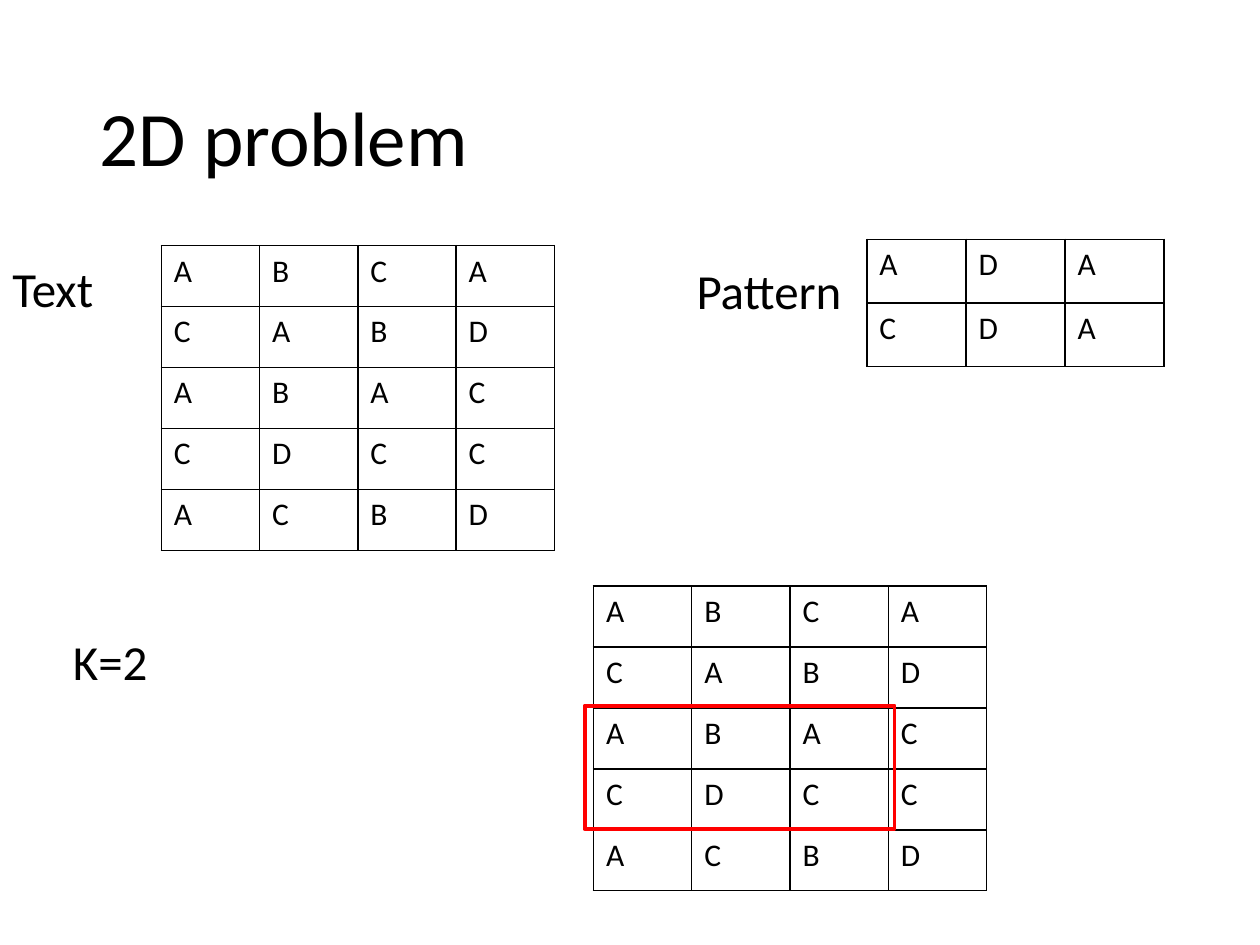
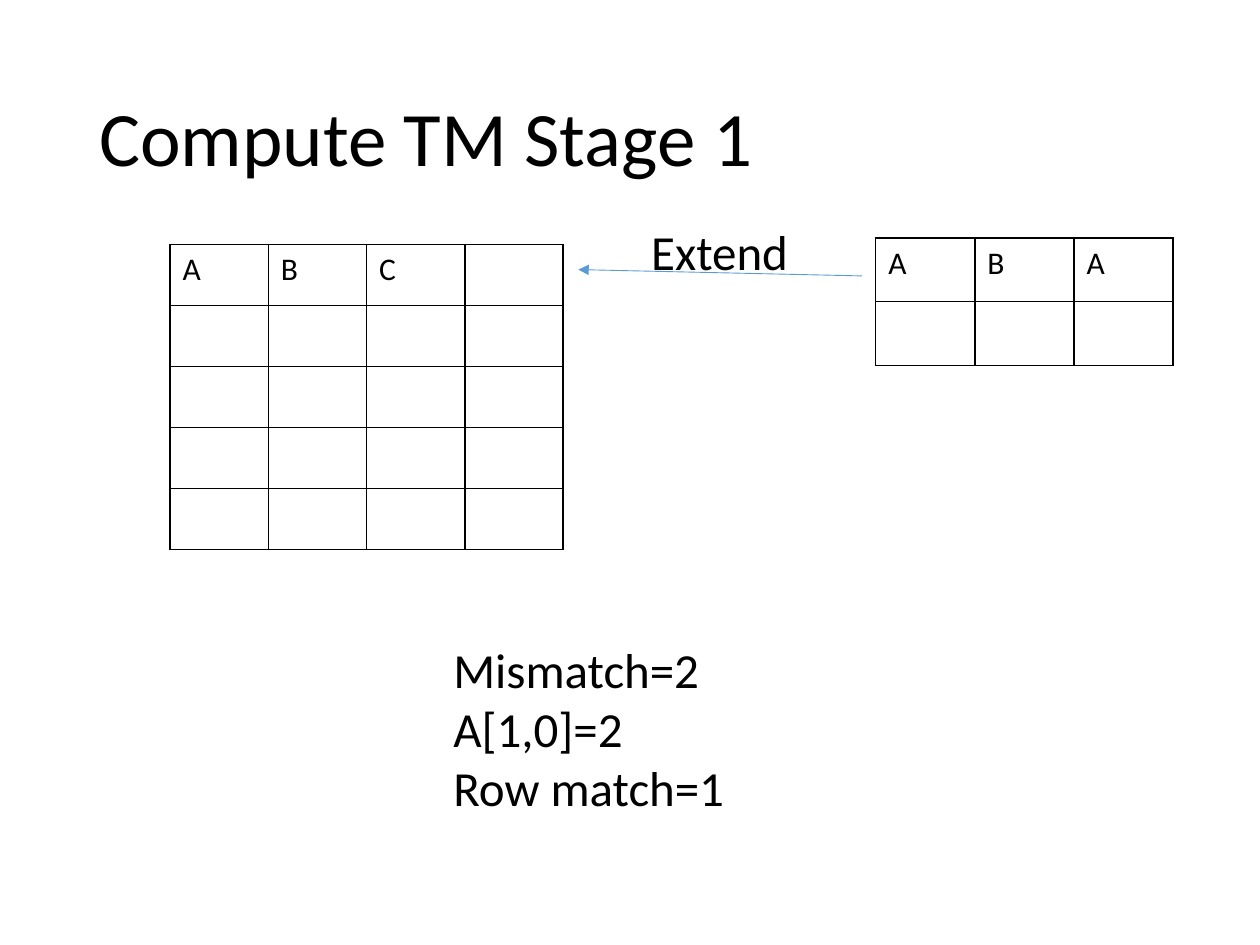
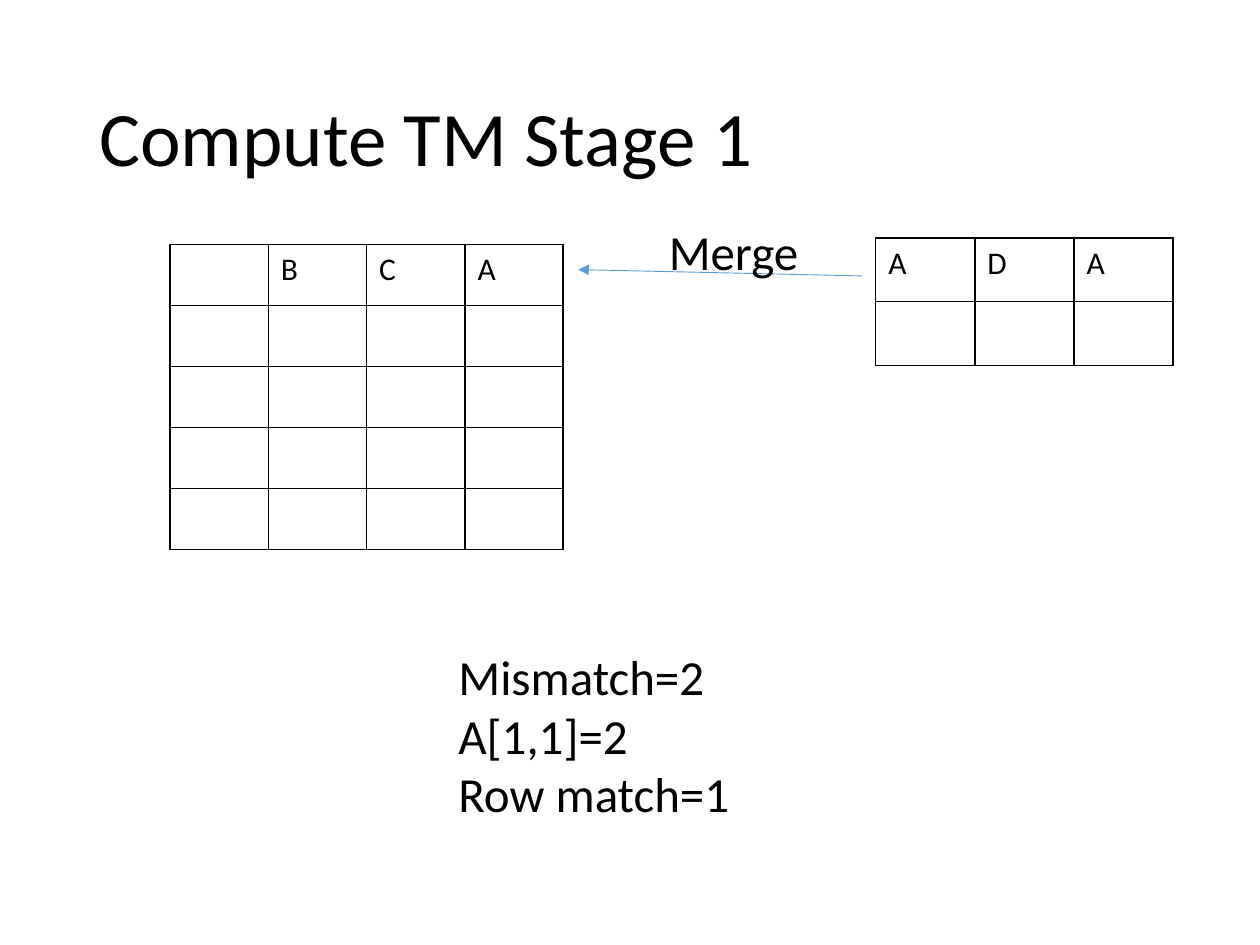
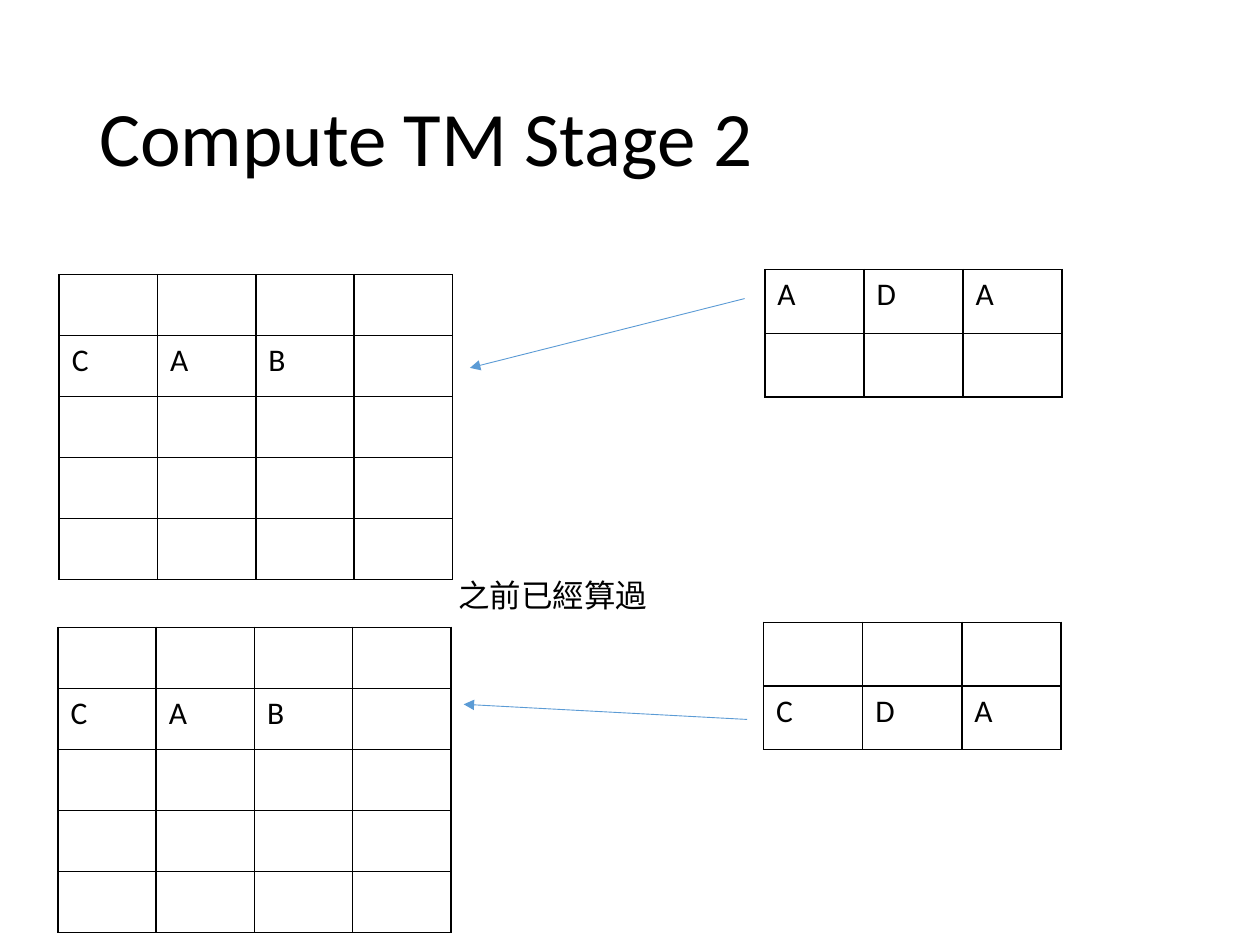
"""Build four slides on matching a 2D pattern inside a 2D text."""
import pptx
import pptx.dml.color
import pptx.enum.shapes
import pptx.enum.text
import pptx.oxml
import pptx.util
from lxml import etree
from pptx.util import Inches

BLACK = pptx.dml.color.RGBColor(0x00, 0x00, 0x00)
RED = pptx.dml.color.RGBColor(0xFF, 0x00, 0x00)
BLUE = pptx.dml.color.RGBColor(0x5B, 0x9B, 0xD5)
MIDDLE = pptx.enum.text.MSO_ANCHOR.MIDDLE
GROW = pptx.enum.text.MSO_AUTO_SIZE.SHAPE_TO_FIT_TEXT
FIXED = pptx.enum.text.MSO_AUTO_SIZE.NONE
TOP = pptx.enum.text.MSO_ANCHOR.TOP

DRAWING = "http://schemas.openxmlformats.org/drawingml/2006/main"
BORDER = (
    f'<a:{{side}} xmlns:a="{DRAWING}" w="12700"><a:solidFill>'
    f'<a:srgbClr val="{BLACK}"/></a:solidFill></a:{{side}}>'
)
ARROWHEAD = f'<a:tailEnd xmlns:a="{DRAWING}" type="triangle"/>'

TITLE_FRAME = {"word_wrap": True, "vertical_anchor": MIDDLE, "auto_size": FIXED}
WRAPPED_FRAME = {"word_wrap": True, "vertical_anchor": TOP, "auto_size": GROW}
LABEL_FRAME = {**WRAPPED_FRAME, "word_wrap": False}

TEXT_ROWS = ["ABCA", "CABD", "ABAC", "CDCC", "ACBD"]
EMPTY_TEXT = ["----"] * 5
EMPTY_PATTERN = ["---"] * 2
TEXT_SECOND_ROW = ["----", "CAB-", *EMPTY_TEXT[2:]]
GRID_SIZES = {4: (3.12, 2.42), 3: (2.36, 1.01)}

LESSONS = [
    {
        "title": "2D problem",
        "grids": [
            (1.28, 1.95, TEXT_ROWS),
            (6.88, 1.9, ["ADA", "CDA"]),
            (4.71, 4.65, TEXT_ROWS),
        ],
        "arrows": [],
        "labels": [
            ("K=2", (0.48, 4.96, 0.98, 0.57), 28, WRAPPED_FRAME),
            ("Text", (0, 2, 0.85, 0.57), 28, LABEL_FRAME),
            ("Pattern", (5.43, 2.02, 1.37, 0.57), 28, LABEL_FRAME),
        ],
        "matches": [(4.64, 5.6, 2.46, 0.98)],
    }
]
for step, step_box, text_row, pattern_row, result, result_box in [
    ("Extend", (5.07, 1.71, 1.3, 0.57), "ABC-", "ABA", "A[1,0]=2", (3.5, 5.03, 2.39, 1.51)),
    ("Merge", (5.21, 1.71, 1.24, 0.57), "-BCA", "ADA", "A[1,1]=2", (3.54, 5.08, 2.38, 1.51)),
]:
    LESSONS.append({
        "title": "Compute TM Stage 1",
        "grids": [
            (1.35, 1.94, [text_row, *EMPTY_TEXT[1:]]),
            (6.95, 1.89, [pattern_row, *EMPTY_PATTERN[1:]]),
        ],
        "arrows": [(6.84, 2.19, 4.59, 2.14)],
        "labels": [
            (step, step_box, 28, LABEL_FRAME),
            (f"Mismatch=2\n{result}\nRow match=1", result_box, 28, LABEL_FRAME),
        ],
        "matches": [],
    })
LESSONS.append({
    "title": "Compute TM Stage 2",
    "grids": [
        (0.47, 2.18, TEXT_SECOND_ROW),
        (6.07, 2.14, ["ADA", "---"]),
        (0.46, 4.98, TEXT_SECOND_ROW),
        (6.06, 4.94, ["---", "CDA"]),
    ],
    "arrows": [(5.91, 2.37, 3.73, 2.92), (5.93, 5.71, 3.68, 5.59)],
    "labels": [("之前已經算過", (3.54, 4.52, 1.72, 0.4), 18, LABEL_FRAME)],
    "matches": [],
})


def write(frame, words, size):
    """Put words in a text frame, one paragraph a line."""
    frame.text = words
    font_format = {"name": "Calibri", "size": pptx.util.Pt(size)}
    for paragraph in frame.paragraphs:
        for run in paragraph.runs:
            for attribute, value in font_format.items():
                setattr(run.font, attribute, value)
            run.font.color.rgb = BLACK


def add_label(slide, words, box, size, frame_format):
    """Add a text box and return its text frame."""
    frame = slide.shapes.add_textbox(*map(Inches, box)).text_frame
    for attribute, value in frame_format.items():
        setattr(frame, attribute, value)
    write(frame, words, size)
    return frame


deck = pptx.Presentation()
deck.slide_width, deck.slide_height = Inches(10), Inches(7.5)

for lesson in LESSONS:
    slide = deck.slides.add_slide(deck.slide_layouts[6])
    title = add_label(slide, lesson["title"], (0.69, 0.4, 8.62, 1.45), 44, TITLE_FRAME)
    title.paragraphs[0].line_spacing = 0.9

    for left, top, letters in lesson["grids"]:
        columns = len(letters[0])
        box = map(Inches, (left, top, *GRID_SIZES[columns]))
        grid = slide.shapes.add_table(len(letters), columns, *box).table
        grid.first_row = grid.horz_banding = False
        for cell, letter in zip(grid.iter_cells(), "".join(letters)):
            if letter != "-":
                write(cell.text_frame, letter, 18)
            borders = cell._tc.get_or_add_tcPr()
            for side in ("lnL", "lnR", "lnT", "lnB"):
                borders.append(pptx.oxml.parse_xml(BORDER.format(side=side)))
            cell.fill.background()

    for ends in lesson["arrows"]:
        arrow = slide.shapes.add_connector(
            pptx.enum.shapes.MSO_CONNECTOR.STRAIGHT, *map(Inches, ends)
        )
        arrow.line.color.rgb = BLUE
        arrow.line.width = pptx.util.Pt(0.5)
        arrow.line._get_or_add_ln().append(pptx.oxml.parse_xml(ARROWHEAD))
        etree.SubElement(arrow._element.spPr, f"{{{DRAWING}}}effectLst")

    for label in lesson["labels"]:
        add_label(slide, *label)

    for box in lesson["matches"]:
        match = slide.shapes.add_shape(
            pptx.enum.shapes.MSO_SHAPE.RECTANGLE, *map(Inches, box)
        )
        match.shadow.inherit = False
        match.fill.background()
        match.line.color.rgb = RED
        match.line.width = pptx.util.Pt(2.25)

deck.save("out.pptx")
